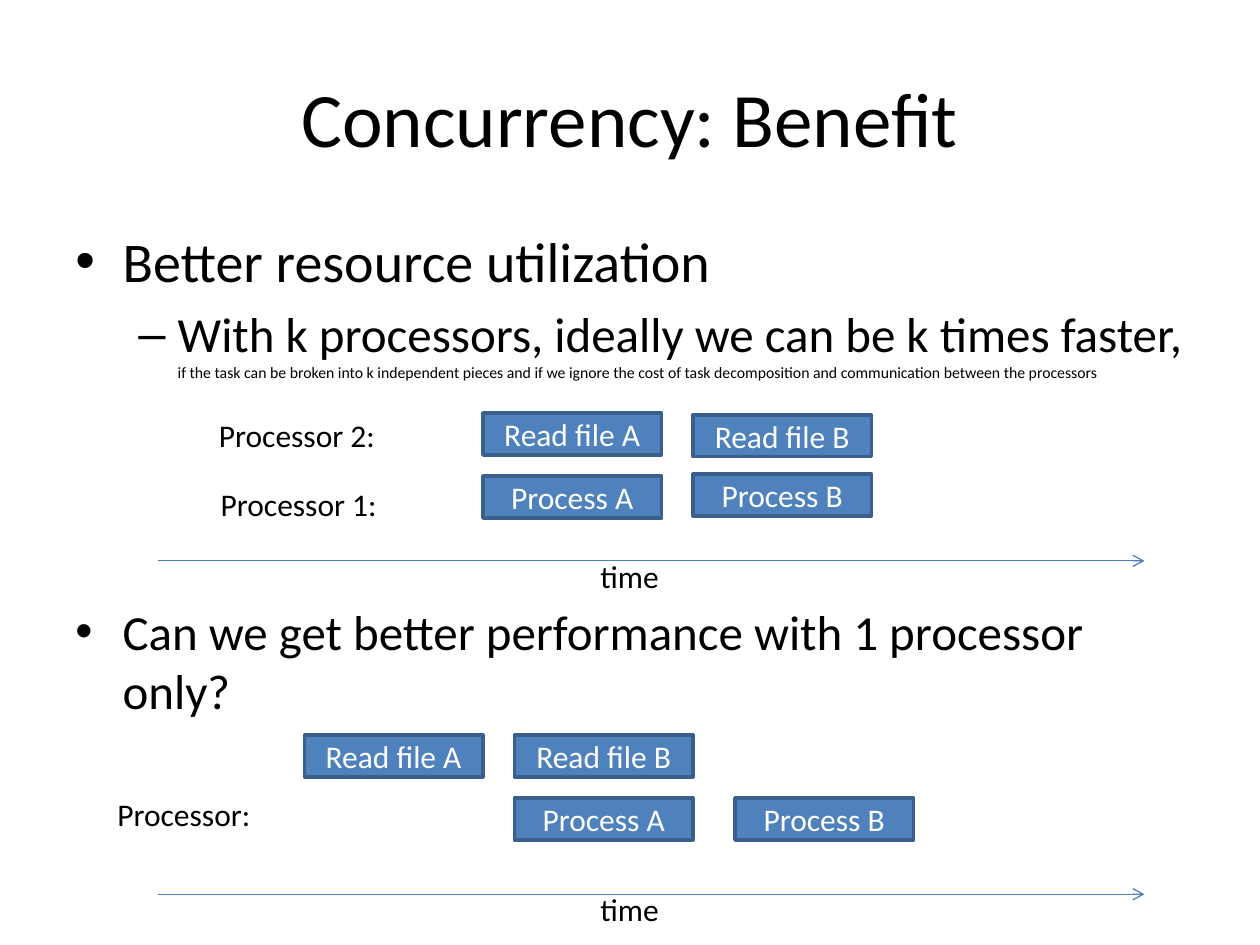
"""Build the slide on the benefit of concurrency, with two processor timelines."""
import pptx
import pptx.dml.color
import pptx.enum.shapes
import pptx.enum.text
import pptx.oxml
import pptx.oxml.ns
import pptx.util

Pt = pptx.util.Pt
RGBColor = pptx.dml.color.RGBColor
ALIGN = pptx.enum.text.PP_ALIGN
ANCHOR = pptx.enum.text.MSO_ANCHOR

BLACK = RGBColor(0x00, 0x00, 0x00)
WHITE = RGBColor(0xFF, 0xFF, 0xFF)
TASK_FILL = RGBColor(0x4F, 0x81, 0xBD)
TASK_LINE = RGBColor(0x3A, 0x5F, 0x8C)
AXIS_LINE = RGBColor(0x4B, 0x7E, 0xBC)
FONT = "Calibri"
TASK_WIDTH, TASK_HEIGHT = 102, 24
AXIS_LEFT, AXIS_RIGHT = 90, 654

TASKS = [
    ("Read file A", 276, 236),
    ("Process A", 276, 272),
    ("Read file B", 396, 237),
    ("Process B", 396, 271),
    ("Read file A", 174, 420),
    ("Process A", 294, 456),
    ("Read file B", 294, 420),
    ("Process B", 420, 456),
]
LABELS = [
    ("Processor 2:", 118, 234, 104),
    ("Processor 1:", 119, 273.5, 104),
    ("Processor:", 60, 450.5, 91),
]
AXIS_TOPS = [320.5, 511]


def add_run(paragraph, text, size, color=BLACK):
    run = paragraph.add_run()
    run.text = text
    run.font.name = FONT
    run.font.size = Pt(size)
    run.font.color.rgb = color


def add_text_box(slide, left, top, width, height, wrap=True):
    shape = slide.shapes.add_textbox(Pt(left), Pt(top), Pt(width), Pt(height))
    shape.text_frame.word_wrap = wrap
    return shape.text_frame


def add_title(slide, text):
    frame = add_text_box(slide, 36, 21.6, 648, 90)
    frame.vertical_anchor = ANCHOR.MIDDLE
    paragraph = frame.paragraphs[0]
    paragraph.alignment = ALIGN.CENTER
    add_run(paragraph, text, 44)


def add_bullet(paragraph, symbol, margin, hanging, runs):
    properties = paragraph._p.get_or_add_pPr()
    properties.set("marL", str(Pt(margin)))
    properties.set("indent", str(-Pt(hanging)))
    paragraph.space_before = Pt(runs[0][1] * 0.2)
    for tag, name, value in (("a:buFont", "typeface", "Arial"), ("a:buChar", "char", symbol)):
        bullet = pptx.oxml.ns.qn(tag)
        properties.append(properties.makeelement(bullet, {name: value}))
    for text, size in runs:
        add_run(paragraph, text, size)


def add_label(slide, text, left, top, width):
    frame = add_text_box(slide, left, top, width, 29, wrap=False)
    frame.auto_size = pptx.enum.text.MSO_AUTO_SIZE.SHAPE_TO_FIT_TEXT
    add_run(frame.paragraphs[0], text, 18)


def add_task(slide, text, left, top):
    shape = slide.shapes.add_shape(
        pptx.enum.shapes.MSO_SHAPE.RECTANGLE,
        Pt(left), Pt(top), Pt(TASK_WIDTH), Pt(TASK_HEIGHT),
    )
    shape.shadow.inherit = False
    shape.fill.solid()
    shape.fill.fore_color.rgb = TASK_FILL
    shape.line.color.rgb = TASK_LINE
    shape.line.width = Pt(2)
    shape.text_frame.vertical_anchor = ANCHOR.MIDDLE
    paragraph = shape.text_frame.paragraphs[0]
    paragraph.alignment = ALIGN.CENTER
    add_run(paragraph, text, 18, WHITE)


def add_time_axis(slide, top):
    axis = slide.shapes.add_connector(
        pptx.enum.shapes.MSO_CONNECTOR.STRAIGHT,
        Pt(AXIS_LEFT), Pt(top), Pt(AXIS_RIGHT), Pt(top),
    )
    axis.line.color.rgb = AXIS_LINE
    axis.line.width = Pt(0.75)
    line = axis.line._get_or_add_ln()
    line.append(line.makeelement(pptx.oxml.ns.qn("a:tailEnd"), {"type": "arrow"}))
    properties = axis._element.spPr
    properties.append(properties.makeelement(pptx.oxml.ns.qn("a:effectLst"), {}))
    add_label(slide, "time", 336, top - 6, 48)


def main():
    presentation = pptx.Presentation()
    presentation.slide_width, presentation.slide_height = Pt(720), Pt(540)
    slide = presentation.slides.add_slide(presentation.slide_layouts[6])

    add_title(slide, "Concurrency: Benefit")
    benefit = add_text_box(slide, 36, 126, 648, 100)
    add_bullet(benefit.paragraphs[0], "•", 27, 27, [("Better resource utilization", 32)])
    add_bullet(benefit.add_paragraph(), "–", 58.5, 22.5, [
        ("With k processors, ideally we can be k times faster, ", 28),
        ("if the task can be broken into k independent pieces and if we ignore the cost of "
         "task decomposition and communication between the processors", 9),
    ])
    question = add_text_box(slide, 36, 340, 648, 76)
    add_bullet(question.paragraphs[0], "•", 27, 27, [
        ("Can we get better performance with 1 processor only?", 28),
    ])

    for task in TASKS:
        add_task(slide, *task)
    for label in LABELS:
        add_label(slide, *label)
    for top in AXIS_TOPS:
        add_time_axis(slide, top)
    presentation.save("out.pptx")


if __name__ == "__main__":
    main()
